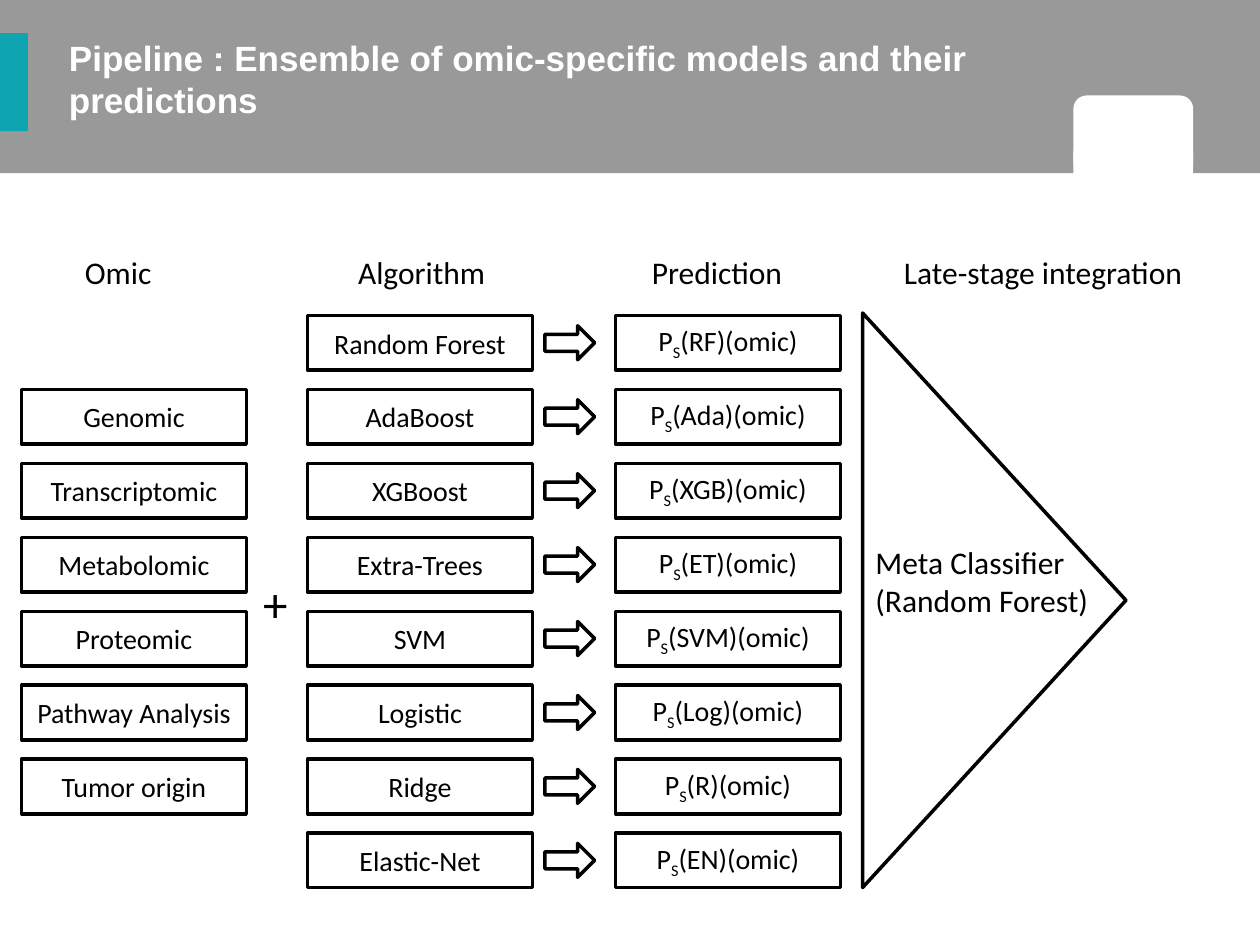
from lxml import etree
from pptx import Presentation
from pptx.dml.color import RGBColor
from pptx.enum import shapes, text
from pptx.oxml.ns import qn
from pptx.util import Pt

TITLE = "Pipeline : Ensemble of omic-specific models and their predictions"
# heading and the left edge of its text, measured inside the heading box
HEADINGS = [("Omic", 35.6), ("Algorithm", 191.7),
            ("Prediction", 359.6), ("Late-stage integration", 503.6)]
OMICS = ["Genomic", "Transcriptomic", "Metabolomic", "Proteomic",
         "Pathway Analysis", "Tumor origin"]
MODELS = [("Random Forest", "RF"), ("AdaBoost", "Ada"), ("XGBoost", "XGB"),
          ("Extra-Trees", "ET"), ("SVM", "SVM"), ("Logistic", "Log"),
          ("Ridge", "R"), ("Elastic-Net", "EN")]

OMIC_X, MODEL_X, ARROW_X, PREDICTION_X = 12.4, 175.8, 311.4, 351.8
TOP, PITCH = 180.3, 42.25
BOX_W, BOX_H = 128.4, 31.2
ARROW_W, ARROW_H = 28.4, 19.4
BLACK, WHITE, GREY, TEAL = "000000", "FFFFFF", "808080", "0FA5B0"
KIND = shapes.MSO_SHAPE


def rgb(value):
    return RGBColor.from_string(value)


def add_shape(s, kind, x, y, w, h, fill=WHITE, line=None):
    sp = s.shapes.add_shape(kind, Pt(x), Pt(y), Pt(w), Pt(h))
    sp.shadow.inherit = False
    sp.fill.solid()
    sp.fill.fore_color.rgb = rgb(fill)
    if line:
        sp.line.color.rgb = rgb(line)
        sp.line.width = Pt(2)
    else:
        sp.line.fill.background()
    return sp


def style(r, size, name="Calibri", color=BLACK, bold=False):
    r.font.size, r.font.name, r.font.bold = Pt(size), name, bold
    r.font.color.rgb = rgb(color)


def add_box(s, x, row, parts):
    """Outlined box on a grid row; a second part is set as subscript."""
    sp = add_shape(s, KIND.RECTANGLE, x, TOP + row * PITCH, BOX_W, BOX_H, line=BLACK)
    tf = sp.text_frame
    tf.word_wrap = True
    tf.vertical_anchor = text.MSO_ANCHOR.MIDDLE
    p = tf.paragraphs[0]
    p.alignment = text.PP_ALIGN.CENTER
    for i, part in enumerate(parts):
        r = p.add_run()
        r.text = part
        style(r, 16)
        if i == 1:
            r.font._element.set("baseline", "-25000")


def add_label(s, x, y, w, h, words, size, tabs=()):
    tf = s.shapes.add_textbox(Pt(x), Pt(y), Pt(w), Pt(h)).text_frame
    tf.word_wrap = True
    p = tf.paragraphs[0]
    p.text = words
    if tabs:
        stops = etree.SubElement(p._p.get_or_add_pPr(), qn("a:tabLst"))
        for pos in tabs:
            etree.SubElement(stops, qn("a:tab"), pos=str(int(Pt(pos))), algn="l")
    for r in p.runs:
        style(r, size)


def add_header(s):
    band = add_shape(s, KIND.RECTANGLE, 0, 0, 720, 99, GREY)
    color = band.fill._xPr.find(".//" + qn("a:srgbClr"))
    etree.SubElement(color, qn("a:alpha"), val="80000")
    add_shape(s, KIND.RECTANGLE, 0, 19, 16, 56, TEAL)
    add_shape(s, KIND.ROUNDED_RECTANGLE, 613.4, 54.6, 68.4, 45)
    add_shape(s, KIND.RECTANGLE, 613.4, 86.4, 68.4, 13.6)

    title = s.shapes.title
    title.element.getparent().append(title.element)  # in front of the band
    title.left, title.top, title.width, title.height = Pt(39.4), Pt(21), Pt(567), Pt(54)
    tf = title.text_frame
    tf.text = TITLE
    tf.word_wrap = True
    tf.auto_size = text.MSO_AUTO_SIZE.NONE
    tf.vertical_anchor = text.MSO_ANCHOR.TOP
    tf.margin_left = tf.margin_right = tf.margin_top = tf.margin_bottom = 0
    p = tf.paragraphs[0]
    p.alignment = text.PP_ALIGN.LEFT
    p.line_spacing = Pt(24)
    style(p.runs[0], 20, "Arial", WHITE, True)


def main():
    prs = Presentation()
    prs.slide_width, prs.slide_height = Pt(720), Pt(540)
    s = prs.slides.add_slide(prs.slide_layouts[5])
    add_header(s)

    for row, omic in enumerate(OMICS, start=1):
        add_box(s, OMIC_X, row, [omic])
    add_label(s, 143.3, 324, 25.2, 41, "+", 28)

    for row, (model, code) in enumerate(MODELS):
        add_box(s, MODEL_X, row, [model])
        arrow_y = TOP + row * PITCH + (BOX_H - ARROW_H) / 2
        add_shape(s, KIND.RIGHT_ARROW, ARROW_X, arrow_y, ARROW_W, ARROW_H, line=BLACK)
        add_box(s, PREDICTION_X, row, ["P", "S", f"({code})(omic)"])

    triangle = add_shape(s, KIND.ISOSCELES_TRIANGLE, 404, 267.8, 328.3, 150.5, line=BLACK)
    triangle.rotation = 90
    add_label(s, 493.2, 306.7, 158.4, 72.7, "Meta Classifier (Random Forest)", 18)

    add_label(s, 5.8, 141.1, 692.6, 28.8, "".join("\t" + h for h, _ in HEADINGS), 18,
              [x for _, x in HEADINGS])
    prs.save("out.pptx")


if __name__ == "__main__":
    main()
